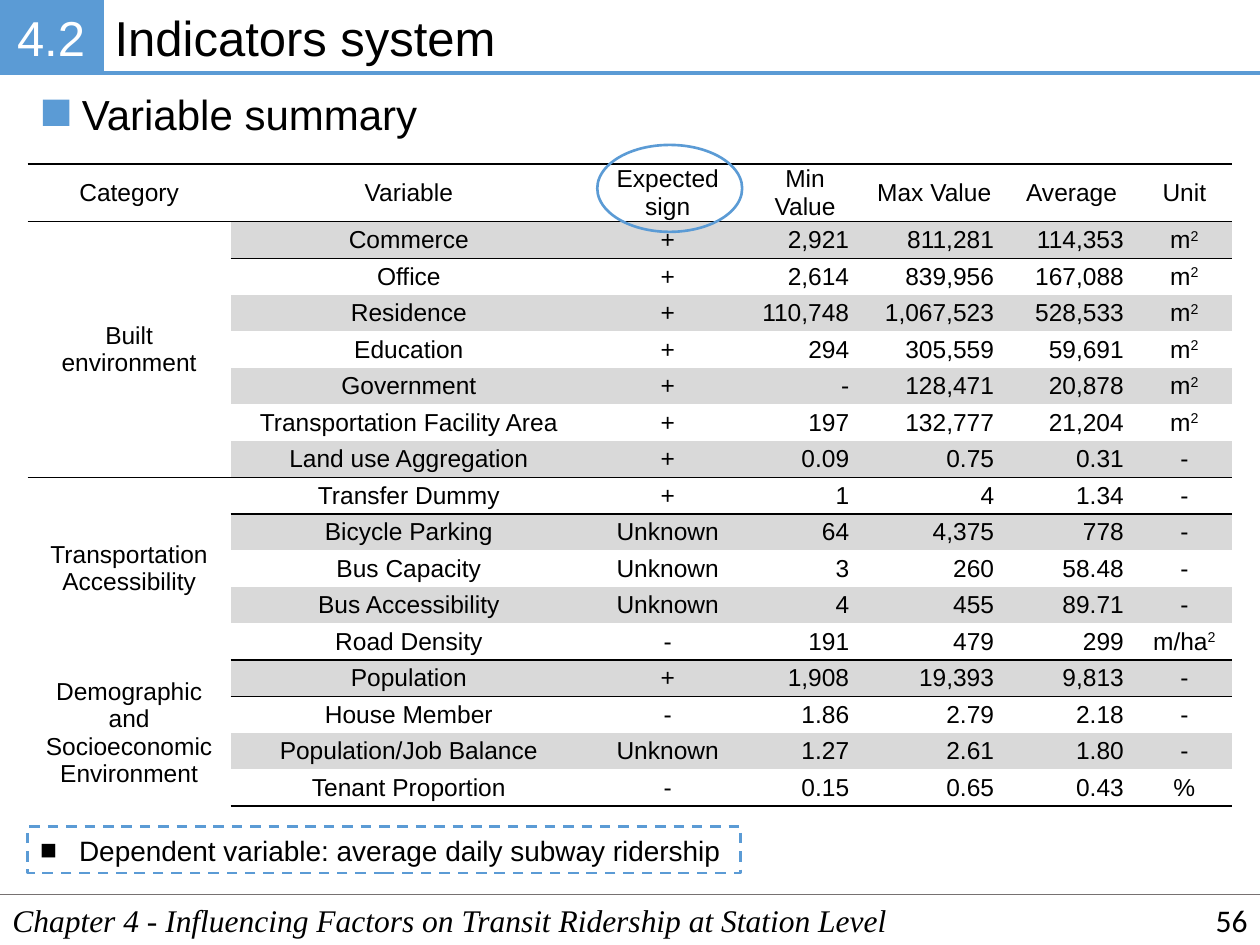
import dataclasses

import lxml.etree
import pptx
import pptx.dml.color
import pptx.enum.dml
import pptx.enum.shapes
import pptx.enum.text
import pptx.oxml
import pptx.oxml.ns
import pptx.util

Inches = pptx.util.Inches
Pt = pptx.util.Pt
ALIGN = pptx.enum.text.PP_ALIGN
ANCHOR = pptx.enum.text.MSO_ANCHOR
SHAPE = pptx.enum.shapes.MSO_SHAPE
qn = pptx.oxml.ns.qn


@dataclasses.dataclass(frozen=True)
class Theme:
    blue: str = "5B9BD5"
    black: str = "000000"
    white: str = "FFFFFF"
    band: str = "D9D9D9"
    rule: str = "767171"
    sans: str = "Arial"
    serif: str = "Times New Roman"
    number: str = "Calibri"
    title: int = 28
    head: int = 24
    foot: int = 18
    note: int = 16
    cell: int = 14


THEME = Theme()
PLAIN_STYLE = "{2D5ABB26-0587-4C30-8999-92F81FD0307C}"
COLS = [1.61, 2.83, 1.28, 0.9, 1.15, 1.03, 0.76]
HEAD_ROW, ROW = 0.46, 0.29
HEADS = ["Category", "Variable", "Expected sign", "Min Value",
         "Max Value", "Average", "Unit"]
GROUPS = {
    "Built environment": [
        ("Commerce", "+", "2,921", "811,281", "114,353", "m2"),
        ("Office", "+", "2,614", "839,956", "167,088", "m2"),
        ("Residence", "+", "110,748", "1,067,523", "528,533", "m2"),
        ("Education", "+", "294", "305,559", "59,691", "m2"),
        ("Government", "+", "-", "128,471", "20,878", "m2"),
        ("Transportation Facility Area", "+", "197", "132,777", "21,204", "m2"),
        ("Land use Aggregation", "+", "0.09", "0.75", "0.31", "-"),
    ],
    "Transportation Accessibility": [
        ("Transfer Dummy", "+", "1", "4", "1.34", "-"),
        ("Bicycle Parking", "Unknown", "64", "4,375", "778", "-"),
        ("Bus Capacity", "Unknown", "3", "260", "58.48", "-"),
        ("Bus Accessibility", "Unknown", "4", "455", "89.71", "-"),
        ("Road Density", "-", "191", "479", "299", "m/ha2"),
    ],
    "Demographic and Socioeconomic Environment": [
        ("Population", "+", "1,908", "19,393", "9,813", "-"),
        ("House Member", "-", "1.86", "2.79", "2.18", "-"),
        ("Population/Job Balance", "Unknown", "1.27", "2.61", "1.80", "-"),
        ("Tenant Proportion", "-", "0.15", "0.65", "0.43", "%"),
    ],
}


def rgb(color):
    return pptx.dml.color.RGBColor.from_string(color)


def style(par, size, face=THEME.sans, color=THEME.black, align=ALIGN.LEFT,
          italic=False):
    par.alignment = align
    for run in par.runs:
        run.font.size = Pt(size)
        run.font.name = face
        run.font.color.rgb = rgb(color)
        run.font.italic = italic


def write(shape, text, size, anchor=ANCHOR.TOP, wrap=True, **looks):
    frame = shape.text_frame
    frame.text = text
    frame.word_wrap = wrap
    frame.auto_size = pptx.enum.text.MSO_AUTO_SIZE.NONE
    frame.vertical_anchor = anchor
    style(frame.paragraphs[0], size, **looks)
    return frame.paragraphs[0]


def place(shape, box):
    shape.left, shape.top, shape.width, shape.height = map(Inches, box)
    return shape


def draw(slide, kind, box, fill=None, line=None, width=1.5):
    shape = slide.shapes.add_shape(kind, *map(Inches, box))
    shape.shadow.inherit = False
    if fill:
        shape.fill.solid()
        shape.fill.fore_color.rgb = rgb(fill)
    else:
        shape.fill.background()
    if line:
        shape.line.color.rgb = rgb(line)
        shape.line.width = Pt(width)
    else:
        shape.line.fill.background()
    return shape


def draw_rule(slide, left, right, top, color, width):
    kind = pptx.enum.shapes.MSO_CONNECTOR.STRAIGHT
    rule = slide.shapes.add_connector(
        kind, Inches(left), Inches(top), Inches(right), Inches(top))
    rule.line.color.rgb = rgb(color)
    rule.line.width = Pt(width)
    lxml.etree.SubElement(rule._element.spPr, qn("a:effectLst"))


def add_header(slide, box):
    left, top, width, height = box
    tab = 0.81
    write(place(slide.shapes.title, (left + tab, top, width - tab, height)),
          "Indicators system", THEME.title, ANCHOR.MIDDLE)
    badge = draw(slide, SHAPE.RECTANGLE, (left, top, tab, height),
                 THEME.blue, THEME.blue, 2.25)
    write(badge, "4.2", THEME.title, ANCHOR.MIDDLE,
          color=THEME.white, align=ALIGN.CENTER)
    frame = badge.text_frame
    frame.margin_left = frame.margin_right = Inches(0.06)
    draw_rule(slide, left + tab, left + width, top + height, THEME.blue, 2.25)


def add_topic(slide, box):
    left, top, width, height = box
    side = 0.21
    draw(slide, SHAPE.RECTANGLE, (left, top + 0.14, side, side), THEME.blue)
    body = place(slide.placeholders[1],
                 (left + side, top, width - side, height))
    par = write(body, "Variable summary", THEME.head, wrap=False)
    par.space_before = Pt(0)
    props = par._p.get_or_add_pPr()
    props.set("marL", "0")
    props.set("indent", "0")
    lxml.etree.SubElement(props, qn("a:buNone"))


def set_edge(cell, side, width):
    edge = lxml.etree.SubElement(cell._tc.get_or_add_tcPr(), qn("a:" + side),
                                 w=str(Pt(width)))
    fill = lxml.etree.SubElement(edge, qn("a:solidFill"))
    lxml.etree.SubElement(fill, qn("a:srgbClr"), val=THEME.black)


def fill_cell(cell, text, align=ALIGN.CENTER, band=False, top=0, bottom=0):
    """Write a cell; a closing 2 after m or ha is raised as a power."""
    power = text in ("m2", "m/ha2")
    par = cell.text_frame.paragraphs[0]
    par.text = text[:-1] if power else text
    if power:
        run = par.add_run()
        run.text = text[-1]
        run._r.get_or_add_rPr().set("baseline", "30000")
    style(par, THEME.cell, align=align)
    cell.vertical_anchor = ANCHOR.MIDDLE
    cell.margin_left = cell.margin_right = Inches(0.1)
    cell.margin_top = cell.margin_bottom = 0
    for side, width in (("lnT", top), ("lnB", bottom)):
        if width:
            set_edge(cell, side, width)
    if band:
        cell.fill.solid()
        cell.fill.fore_color.rgb = rgb(THEME.band)
    else:
        cell.fill.background()


def add_grid(slide, box):
    count = sum(map(len, GROUPS.values()))
    table = slide.shapes.add_table(
        count + 1, len(COLS), *map(Inches, box)).table
    table.first_row = table.horz_banding = False
    table._tbl.tblPr.find(qn("a:tableStyleId")).text = PLAIN_STYLE
    for col, width in zip(table.columns, COLS):
        col.width = Inches(width)
    for index, row in enumerate(table.rows):
        row.height = Inches(ROW if index else HEAD_ROW)
    for col, text in enumerate(HEADS):
        fill_cell(table.cell(0, col), text, top=1.5, bottom=1)
    start = 1
    for group, items in GROUPS.items():
        end = start + len(items) - 1
        table.cell(start, 0).merge(table.cell(end, 0))
        for row, item in enumerate(items, start):
            close = 1.5 if row == count else 0
            fill_cell(table.cell(row, 0), group if row == start else "",
                      top=int(row == 1), bottom=close)
            for col, text in enumerate(item, 1):
                align = ALIGN.RIGHT if 3 <= col <= 5 else ALIGN.CENTER
                fill_cell(table.cell(row, col), text, align, row % 2 == 1,
                          top=int(row == start),
                          bottom=close or int(row == end))
        start = end + 1


def add_note(slide, box):
    note = draw(slide, SHAPE.RECTANGLE, box, line=THEME.blue)
    note.line.dash_style = pptx.enum.dml.MSO_LINE.DASH
    par = write(note, "Dependent variable: average daily subway ridership",
                THEME.note, ANCHOR.MIDDLE, wrap=False)
    props = par._p.get_or_add_pPr()
    props.set("marL", str(Inches(0.31)))
    props.set("indent", str(-Inches(0.31)))
    lxml.etree.SubElement(props, qn("a:buFont"), typeface=THEME.sans)
    lxml.etree.SubElement(props, qn("a:buChar"), char="■")


def add_footer(slide, box):
    left, top, width, height = box
    draw_rule(slide, left, left + width, top, THEME.rule, 1)
    text = slide.shapes.add_textbox(*map(Inches, box))
    write(text, "Chapter 4 - Influencing Factors on Transit Ridership "
          "at Station Level", THEME.foot, face=THEME.serif, italic=True)
    span = 2.25
    page = slide.shapes.add_textbox(
        *map(Inches, (left + width - span, top, span, height)))
    write(page, "56", THEME.foot, ANCHOR.MIDDLE, face=THEME.number,
          align=ALIGN.RIGHT)


def main():
    deck = pptx.Presentation()
    deck.slide_width, deck.slide_height = Inches(10), Inches(7.5)
    slide = deck.slides.add_slide(deck.slide_layouts[1])
    add_header(slide, (0, 0, 10, 0.58))
    add_footer(slide, (0, 7.1, 10, 0.4))
    add_grid(slide, (0.22, 1.3, 9.56, 5.1))
    add_note(slide, (0.22, 6.56, 5.66, 0.37))
    add_topic(slide, (0.34, 0.65, 3.17, 0.5))
    draw(slide, SHAPE.OVAL, (4.74, 1.15, 1.15, 0.69), line=THEME.blue)
    deck.save("out.pptx")


if __name__ == "__main__":
    main()
